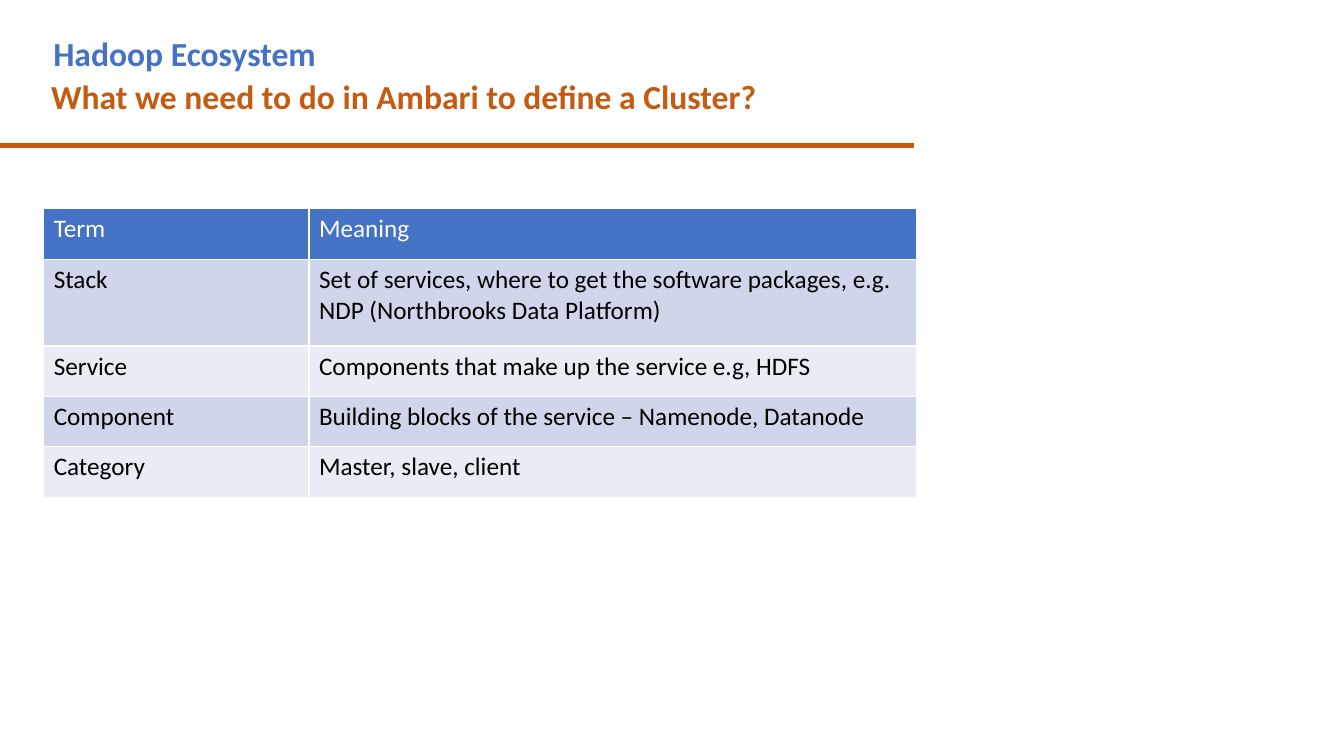
from pptx import Presentation
from pptx.dml.color import RGBColor
from pptx.enum.shapes import MSO_CONNECTOR
from pptx.oxml.ns import qn
from pptx.util import Pt
from lxml.etree import SubElement

BLUE = RGBColor(0x44, 0x72, 0xC4)
ORANGE = RGBColor(0xC5, 0x5A, 0x11)
WHITE = RGBColor(0xFF, 0xFF, 0xFF)
BLACK = RGBColor(0x00, 0x00, 0x00)
BAND_DARK = RGBColor(0xCF, 0xD5, 0xEA)
BAND_LIGHT = RGBColor(0xE9, 0xEB, 0xF5)


def write(text_frame, text, size=18, color=BLACK, bold=False):
    text_frame.word_wrap = True
    paragraph = text_frame.paragraphs[0]
    run = paragraph.add_run()
    run.text = text
    run.font.name = "Calibri"
    run.font.size = Pt(size)
    run.font.bold = bold
    run.font.color.rgb = color


presentation = Presentation()
presentation.slide_width = Pt(960)
presentation.slide_height = Pt(540)
slide = presentation.slides.add_slide(presentation.slide_layouts[6])

# Headings
headings = [
    ("Hadoop Ecosystem", 31, 20, 590, BLUE),
    ("What we need to do in Ambari to define a Cluster?", 29.5, 51, 630, ORANGE),
]
for text, left, top, width, color in headings:
    box = slide.shapes.add_textbox(Pt(left), Pt(top), Pt(width), Pt(36))
    write(box.text_frame, text, size=24, color=color, bold=True)

# Rule under the headings
rule = slide.shapes.add_connector(
    MSO_CONNECTOR.STRAIGHT, Pt(-0.5), Pt(104), Pt(653), Pt(104))
rule.line.color.rgb = ORANGE
rule.line.width = Pt(3)
SubElement(rule._element.spPr, qn("a:effectLst"))

# Table of terms
terms = [
    ("Term", "Meaning"),
    ("Stack", "Set of services, where to get the software packages, e.g. "
              "NDP (Northbrooks Data Platform)"),
    ("Service", "Components that make up the service e.g, HDFS"),
    ("Component", "Building blocks of the service – Namenode, Datanode"),
    ("Category", "Master, slave, client"),
]
column_widths = [189.5, 434]
row_heights = [36, 62, 36, 36, 36]
table = slide.shapes.add_table(
    len(terms), len(column_widths), Pt(31.2), Pt(149.2),
    Pt(sum(column_widths)), Pt(sum(row_heights))).table
for column, width in zip(table.columns, column_widths):
    column.width = Pt(width)
for row_index, (row, texts) in enumerate(zip(table.rows, terms)):
    row.height = Pt(row_heights[row_index])
    is_header = row_index == 0
    band = BAND_DARK if row_index % 2 else BAND_LIGHT
    for cell, text in zip(row.cells, texts):
        cell.fill.solid()
        cell.fill.fore_color.rgb = BLUE if is_header else band
        write(cell.text_frame, text, color=WHITE if is_header else BLACK)

presentation.save("out.pptx")
